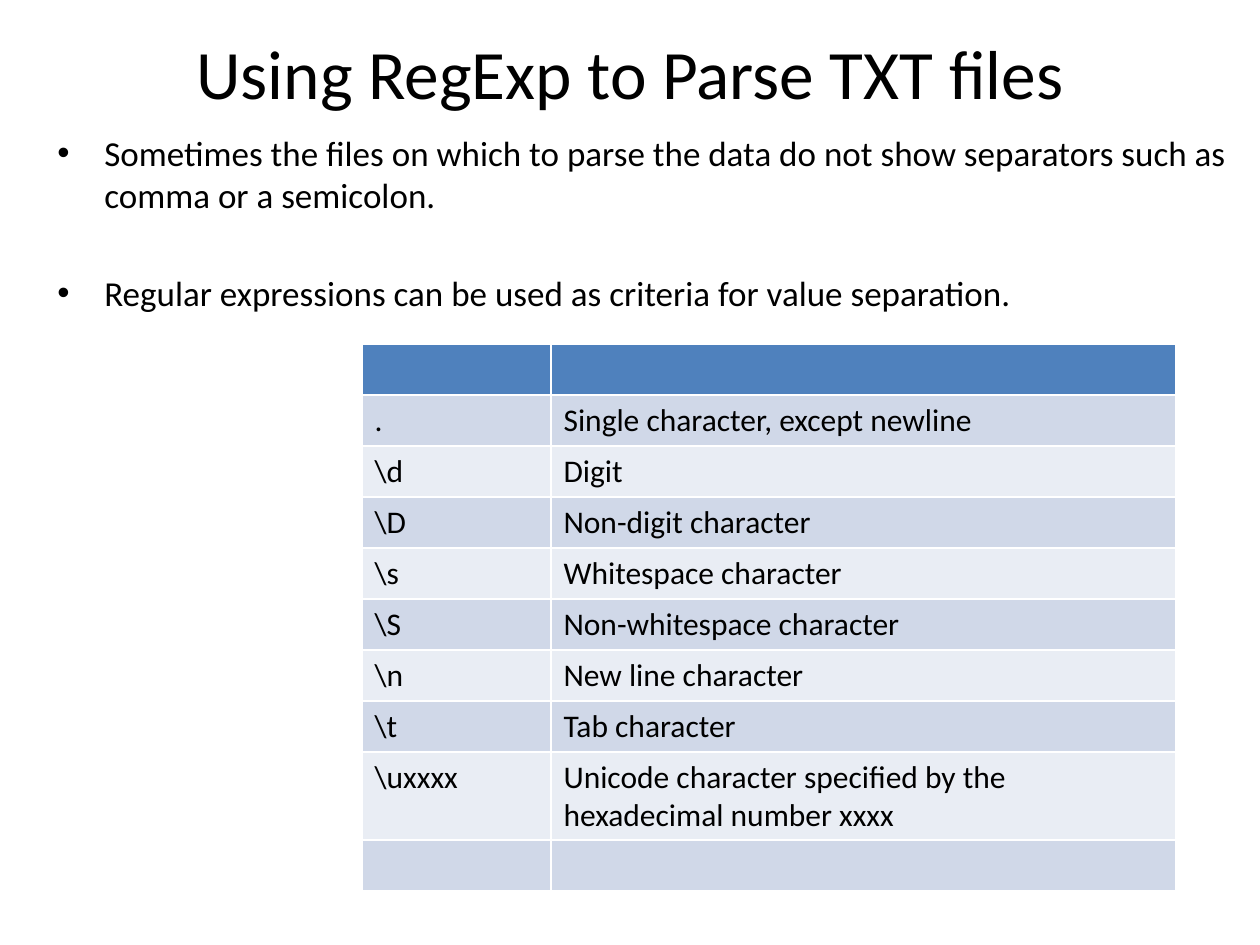
from lxml import etree
from pptx import Presentation
from pptx.dml.color import RGBColor
from pptx.enum.text import MSO_ANCHOR, MSO_AUTO_SIZE, PP_ALIGN
from pptx.oxml.ns import qn
from pptx.util import Emu, Pt

MIDDLE = MSO_ANCHOR.MIDDLE
NO_FIT = MSO_AUTO_SIZE.NONE
CENTER = PP_ALIGN.CENTER
LEFT = PP_ALIGN.LEFT

FONT = "Calibri"
COLORS = {"text": "000000", "header": "4F81BD", "odd": "D0D8E8", "even": "E9EDF4"}

TITLE = "Using RegExp to Parse TXT files"
BULLETS = [
    ("Sometimes the files on which to parse the data do not show separators "
     "such as comma or a semicolon.", 4),
    ("Regular expressions can be used as criteria for value separation.", 32),
]
ROWS = [
    ("", ""),
    (".", "Single character, except newline"),
    ("\\d", "Digit"),
    ("\\D", "Non-digit character"),
    ("\\s", "Whitespace character"),
    ("\\S", "Non-whitespace character"),
    ("\\n", "New line character"),
    ("\\t", "Tab character"),
    ("\\uxxxx", "Unicode character specified by the hexadecimal number xxxx"),
    ("", ""),
]
COL_WIDTHS = [189, 625]
ROW_HEIGHT = 51
TABLE_LEFT, TABLE_TOP = 362, 344
BULLET_INDENT = 47


def px(n):
    return Emu(round(n * 914400 / 126))


def add_run(p, text, size):
    r = p.add_run()
    r.text = text
    r.font.name = FONT
    r.font.size = Pt(size)
    r.font.color.rgb = RGBColor.from_string(COLORS["text"])


def add_bullet(p):
    pPr = p._p.get_or_add_pPr()
    pPr.set("marL", str(px(BULLET_INDENT)))
    pPr.set("indent", str(-px(BULLET_INDENT)))
    etree.SubElement(pPr, qn("a:buFont")).set("typeface", "Arial")
    etree.SubElement(pPr, qn("a:buChar")).set("char", "•")


def add_title(s):
    title = s.shapes.title
    title.left, title.top, title.width, title.height = map(px, (63, 38, 1134, 68))
    tf = title.text_frame
    tf.auto_size = NO_FIT
    tf.vertical_anchor = MIDDLE
    p = tf.paragraphs[0]
    p.alignment = CENTER
    add_run(p, TITLE, 39.6)


def add_bullets(s):
    tf = s.shapes.add_textbox(*map(px, (45, 125, 1211, 169))).text_frame
    tf.word_wrap = True
    for i, (text, gap) in enumerate(BULLETS):
        p = tf.add_paragraph() if i else tf.paragraphs[0]
        p.alignment = LEFT
        p.space_before = Pt(gap)
        add_bullet(p)
        add_run(p, text, 20)


def add_regexp_table(s):
    table = s.shapes.add_table(
        len(ROWS), len(COL_WIDTHS), px(TABLE_LEFT), px(TABLE_TOP),
        px(sum(COL_WIDTHS)), px(ROW_HEIGHT * len(ROWS))).table
    for col, width in zip(table.columns, COL_WIDTHS):
        col.width = px(width)
    for i, row in enumerate(ROWS):
        table.rows[i].height = px(ROW_HEIGHT)
        fill = "header" if i == 0 else "odd" if i % 2 else "even"
        for j, text in enumerate(row):
            cell = table.cell(i, j)
            cell.fill.solid()
            cell.fill.fore_color.rgb = RGBColor.from_string(COLORS[fill])
            if text:
                add_run(cell.text_frame.paragraphs[0], text, 18)


def main():
    prs = Presentation()
    prs.slide_width, prs.slide_height = px(1260), px(945)
    s = prs.slides.add_slide(prs.slide_layouts[5])
    add_title(s)
    add_bullets(s)
    add_regexp_table(s)
    prs.save("out.pptx")


if __name__ == "__main__":
    main()
